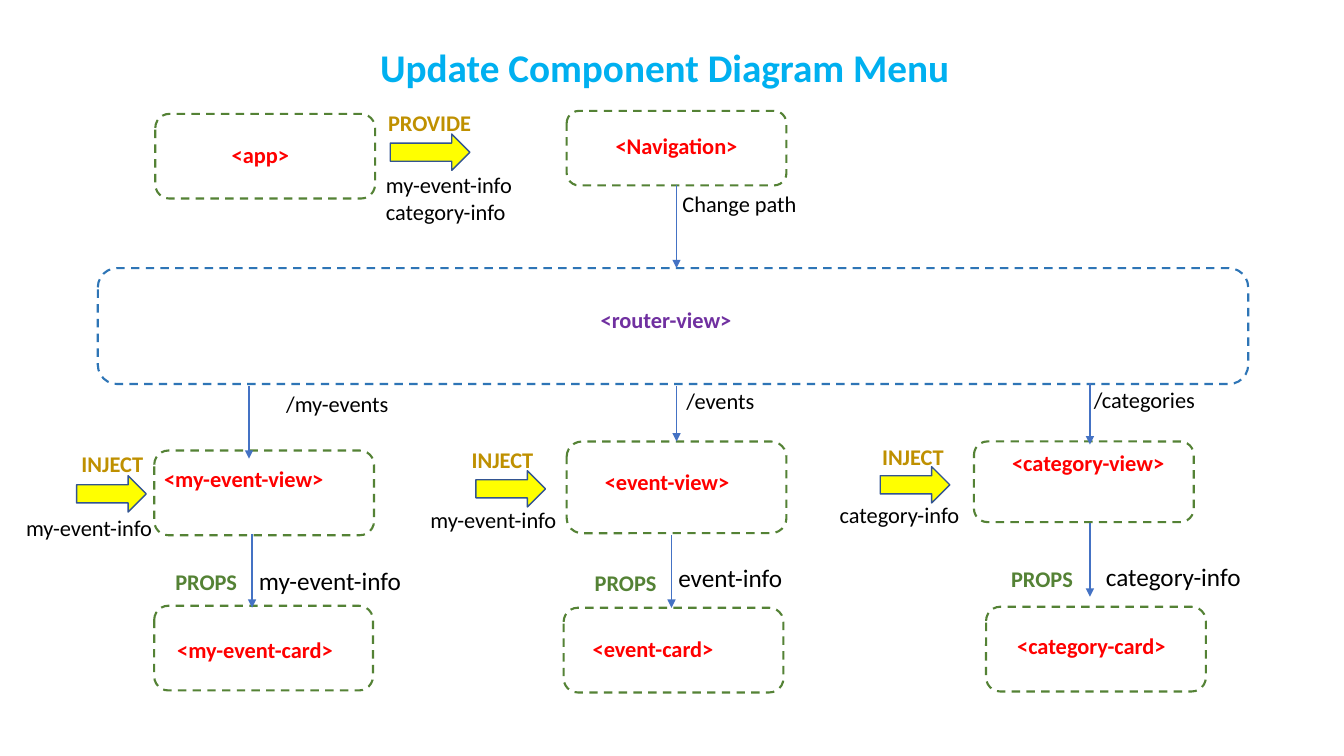
from lxml.etree import SubElement
from pptx import Presentation
from pptx.dml.color import RGBColor
from pptx.enum.dml import MSO_LINE_DASH_STYLE as Dash
from pptx.enum.shapes import MSO_CONNECTOR as Connector, MSO_SHAPE as Shape
from pptx.enum.text import MSO_ANCHOR as Anchor, PP_ALIGN as Align
from pptx.oxml.ns import qn
from pptx.util import Pt

EMU_PER_PX = 9144
SLIDE_SIZE = (1333, 750)
GREEN, BLUE = "548235", "2E75B6"
ARROW_BLUE, ARROW_EDGE, YELLOW = "4472C4", "325491", "FFFF00"

TITLE = ("Update Component Diagram Menu", 367, 38, 600, 57)
TITLE_FORMAT = {"size": Pt(28), "bold": True, "color": "00B0F0"}

BOXES = {
    "app": (154, 113, 218, 84, GREEN),
    "navigation": (562, 110, 218, 74, GREEN),
    "router-view": (97, 266, 1141, 115, BLUE),
    "my-event-view": (153, 447, 218, 84, GREEN),
    "event-view": (562, 438, 218, 91, GREEN),
    "category-view": (966, 438, 218, 80, GREEN),
    "my-event-card": (153, 601, 217, 84, GREEN),
    "event-card": (559, 603, 218, 84, GREEN),
    "category-card": (978, 602, 218, 84, GREEN),
}

FLOWS = [
    (671, 184, 266, "navigation", None),
    (247, 383, 455, None, None),
    (671, 383, 438, None, "event-view"),
    (1081, 380, 441, None, None),
    (250, 530, 603, None, None),
    (666, 531, 603, None, None),
    (1081, 519, 592, None, None),
]

BLOCK_ARROWS = [(387, 133, 79), (76, 472, 69), (472, 467, 69), (873, 463, 69)]
BLOCK_ARROW_HEIGHT = 36

STYLES = {
    "component": {"size": Pt(16), "bold": True, "color": "FF0000"},
    "router": {"size": Pt(16), "bold": True, "color": "7030A0"},
    "transfer": {"size": Pt(16), "bold": True, "color": "BF9000"},
    "props": {"size": Pt(16), "bold": True, "color": GREEN},
    "plain": {"size": Pt(16), "bold": False, "color": "000000"},
    "data": {"size": Pt(18), "bold": False, "color": "000000"},
}

LABELS = {
    "component": [
        ("<app>", 220, 135, 105),
        ("<Navigation>", 575, 126, 192),
        ("<my-event-view>", 153, 457, 204),
        ("<event-view>", 590, 460, 199),
        ("<category-view>", 994, 441, 183),
        ("<my-event-card>", 166, 626, 204),
        ("<event-card>", 578, 625, 204),
        ("<category-card>", 999, 622, 204),
    ],
    "router": [("<router-view>", 586, 299, 170)],
    "transfer": [
        ("PROVIDE", 375, 103, 109),
        ("INJECT", 71, 442, 88),
        ("INJECT", 458, 438, 88),
        ("INJECT", 865, 435, 88),
    ],
    "props": [
        ("PROPS", 164, 559, 88),
        ("PROPS", 580, 560, 88),
        ("PROPS", 993, 556, 88),
    ],
    "plain": [
        ("my-event-info\ncategory-info", 373, 165, 231),
        ("Change path", 667, 184, 155),
        ("/my-events", 274, 382, 147),
        ("/events", 671, 379, 147),
        ("/categories", 1075, 378, 147),
        ("my-event-info", 16, 505, 155),
        ("my-event-info", 417, 497, 155),
        ("category-info", 823, 492, 142),
    ],
    "data": [
        ("my-event-info", 247, 556, 173),
        ("event-info", 663, 553, 173),
        ("category-info", 1087, 552, 173),
    ],
}
CENTRED = {"<Navigation>"}
LINE_HEIGHTS = {"data": 30}
TEXT_PADDING = 10


def px(*lengths):
    return [length * EMU_PER_PX for length in lengths]


def color(value):
    return RGBColor.from_string(value)


def write(shape, text, style, alignment=Align.LEFT):
    frame = shape.text_frame
    frame.word_wrap = True
    frame.vertical_anchor = Anchor.TOP
    frame.text = text
    for paragraph in frame.paragraphs:
        paragraph.alignment = alignment
        for run in paragraph.runs:
            run.font.name = "Calibri"
            for name, value in style.items():
                if name == "color":
                    run.font.color.rgb = color(value)
                else:
                    setattr(run.font, name, value)


def outline(shape, line_color, width):
    shape.line.color.rgb = color(line_color)
    shape.line.width = Pt(width)


def add_box(slide, left, top, width, height, line_color):
    box = slide.shapes.add_shape(Shape.ROUNDED_RECTANGLE, *px(left, top, width, height))
    box.shadow.inherit = False
    box.fill.background()
    outline(box, line_color, 1.5)
    box.line.dash_style = Dash.DASH
    return box


def add_flow(slide, boxes, x, top, bottom, source, target):
    flow = slide.shapes.add_connector(Connector.STRAIGHT, *px(x, top, x, bottom))
    outline(flow, ARROW_BLUE, 1)
    SubElement(flow.line._get_or_add_ln(), qn("a:tailEnd"), type="triangle")
    SubElement(flow._element.spPr, qn("a:effectLst"))
    if source:
        flow.begin_connect(boxes[source], 2)
    if target:
        flow.end_connect(boxes[target], 0)


def add_block_arrow(slide, left, top, width):
    arrow = slide.shapes.add_shape(Shape.RIGHT_ARROW, *px(left, top, width, BLOCK_ARROW_HEIGHT))
    arrow.shadow.inherit = False
    arrow.fill.solid()
    arrow.fill.fore_color.rgb = color(YELLOW)
    outline(arrow, ARROW_EDGE, 1)


def add_label(slide, style_name, text, left, top, width):
    line_count = text.count("\n") + 1
    height = TEXT_PADDING + line_count * LINE_HEIGHTS.get(style_name, 27)
    label = slide.shapes.add_textbox(*px(left, top, width, height))
    alignment = Align.CENTER if text in CENTRED else Align.LEFT
    write(label, text, STYLES[style_name], alignment)


def main():
    presentation = Presentation()
    presentation.slide_width, presentation.slide_height = px(*SLIDE_SIZE)
    slide = presentation.slides.add_slide(presentation.slide_layouts[5])

    title = slide.shapes.title
    text, *place = TITLE
    title.left, title.top, title.width, title.height = px(*place)
    write(title, text, TITLE_FORMAT)

    boxes = {name: add_box(slide, *box) for name, box in BOXES.items()}
    for flow in FLOWS:
        add_flow(slide, boxes, *flow)
    for arrow in BLOCK_ARROWS:
        add_block_arrow(slide, *arrow)
    for style_name, labels in LABELS.items():
        for label in labels:
            add_label(slide, style_name, *label)

    presentation.save("out.pptx")


if __name__ == "__main__":
    main()
